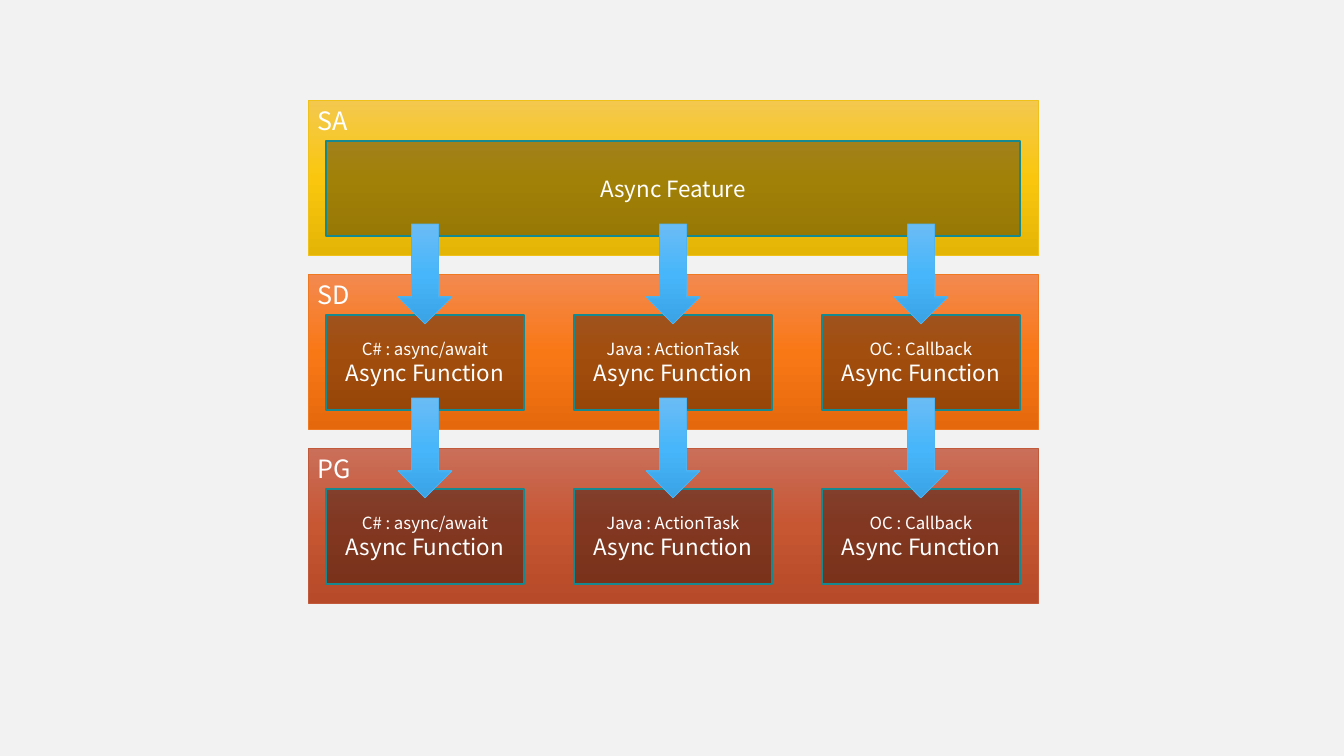
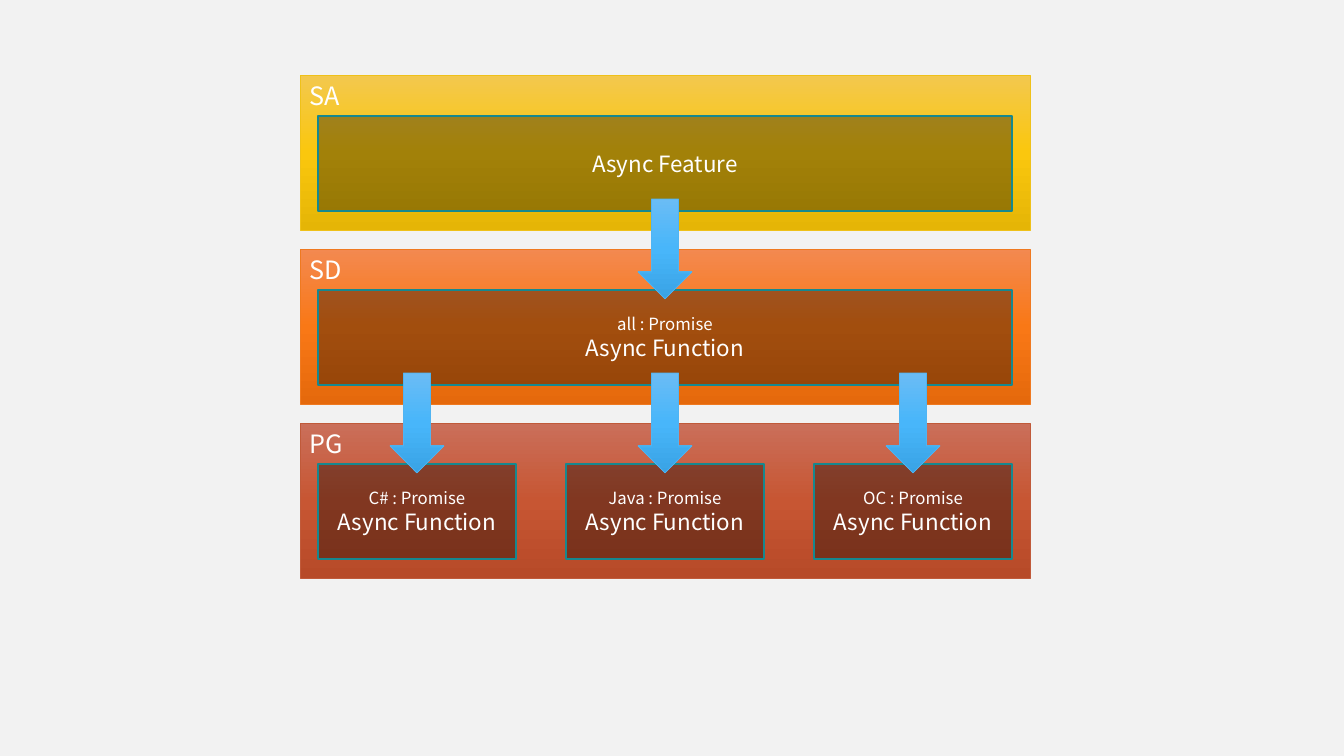
from copy import deepcopy
from pptx import Presentation
from pptx.dml.color import RGBColor
from pptx.enum.shapes import MSO_SHAPE as SHAPE
from pptx.enum.text import MSO_ANCHOR as ANCHOR, PP_ALIGN as ALIGN
from pptx.oxml.ns import qn
from pptx.util import Pt

PX = 914400 / 100.8
FONT = "Noto Sans CJK TC"
WHITE, BLACK, BACKGROUND, CELL_LINE = "FFFFFF", "000000", "F2F2F2", "16888F"
ARROW_FILL, ARROW_LINE = ["6ABCF5", "48B6FA", "39A3E5"], "50B4F2"
BAND_STYLES = [
    ("SA", ["F3C84E", "FAC70E", "E5B506"], "EFC119"),
    ("SD", ["F38950", "F97816", "E5690C"], "EF7920"),
    ("PG", ["CA6F5A", "C75633", "B74A28"], "C05A3A"),
]

CELL_WIDTH, CELL_HEIGHT, CELL_GAP = 198, 95, 50
ROW_WIDTH = 3 * CELL_WIDTH + 2 * CELL_GAP
PAD_LEFT, PAD_TOP = 18, 41
BAND_WIDTH, BAND_HEIGHT, BAND_PITCH = ROW_WIDTH + 2 * PAD_LEFT, 155, 174
ARROW_WIDTH, ARROW_HEIGHT, ARROW_DROP = 54, 100, 124

FEATURE = [["Async Feature"]]
NATIVE = [
    ["C# : async/await", "Async Function"],
    ["Java : ActionTask", "Async Function"],
    ["OC : Callback", "Async Function"],
]
SHARED = [["all : Promise", "Async Function"]]
PROMISES = [
    ["C# : Promise", "Async Function"],
    ["Java : Promise", "Async Function"],
    ["OC : Promise", "Async Function"],
]
PAGES = [
    (308, 100, [FEATURE, NATIVE, NATIVE]),
    (300, 75, [FEATURE, SHARED, PROMISES]),
]


def color(value):
    return RGBColor.from_string(value)


def add_box(page, kind, place, fill, line, line_width, lines=(), sizes=(), centered=True):
    box = page.shapes.add_shape(kind, *[round(length * PX) for length in place])
    box.shadow.inherit = False
    box.line.color.rgb = color(line)
    box.line.width = Pt(line_width)
    if isinstance(fill, list):
        box.fill.gradient()
        box.fill.gradient_angle = 270
        stop_list = box.fill._xPr.find(qn("a:gradFill")).find(qn("a:gsLst"))
        stop_list.insert(1, deepcopy(stop_list[0]))
        for stop, value, position in zip(box.fill.gradient_stops, fill, (0, 0.5, 1)):
            stop.color.rgb = color(value)
            stop.position = position
    else:
        box.fill.solid()
        box.fill.fore_color.rgb = color(fill)
        solid = box.fill._xPr.find(qn("a:solidFill"))[0]
        solid.makeelement(qn("a:alpha"))
        alpha = solid.makeelement(qn("a:alpha"), {"val": "35000"})
        solid.append(alpha)
    if lines:
        frame = box.text_frame
        frame.word_wrap = True
        frame.vertical_anchor = ANCHOR.MIDDLE if centered else ANCHOR.TOP
        frame.text = "\n".join(lines)
        for para, size in zip(frame.paragraphs, sizes):
            para.alignment = ALIGN.CENTER if centered else ALIGN.LEFT
            for span in para.runs:
                span.font.name = FONT
                span.font.size = Pt(size)
                span.font.color.rgb = color(WHITE)


deck = Presentation()
deck.slide_width, deck.slide_height = round(1344 * PX), round(756 * PX)

for left, top, rows in PAGES:
    page = deck.slides.add_slide(deck.slide_layouts[6])
    page.background.fill.solid()
    page.background.fill.fore_color.rgb = color(BACKGROUND)
    arrow_places = []

    for index, ((name, fill, line), cells) in enumerate(zip(BAND_STYLES, rows)):
        band_top = top + index * BAND_PITCH
        add_box(page, SHAPE.RECTANGLE, (left, band_top, BAND_WIDTH, BAND_HEIGHT),
                fill, line, 0.5, [name], [18], centered=False)
        width = CELL_WIDTH if len(cells) > 1 else ROW_WIDTH
        for column, lines in enumerate(cells):
            cell_left = left + PAD_LEFT + column * (width + CELL_GAP)
            add_box(page, SHAPE.RECTANGLE, (cell_left, band_top + PAD_TOP, width, CELL_HEIGHT),
                    BLACK, CELL_LINE, 1, lines, [12, 16][-len(lines):])
            if index:
                arrow_left = cell_left + (width - ARROW_WIDTH) // 2
                arrow_top = band_top - BAND_PITCH + ARROW_DROP
                arrow_places.append((arrow_left, arrow_top, ARROW_WIDTH, ARROW_HEIGHT))

    for place in arrow_places:
        add_box(page, SHAPE.DOWN_ARROW, place, ARROW_FILL, ARROW_LINE, 0.5)

deck.save("out.pptx")
